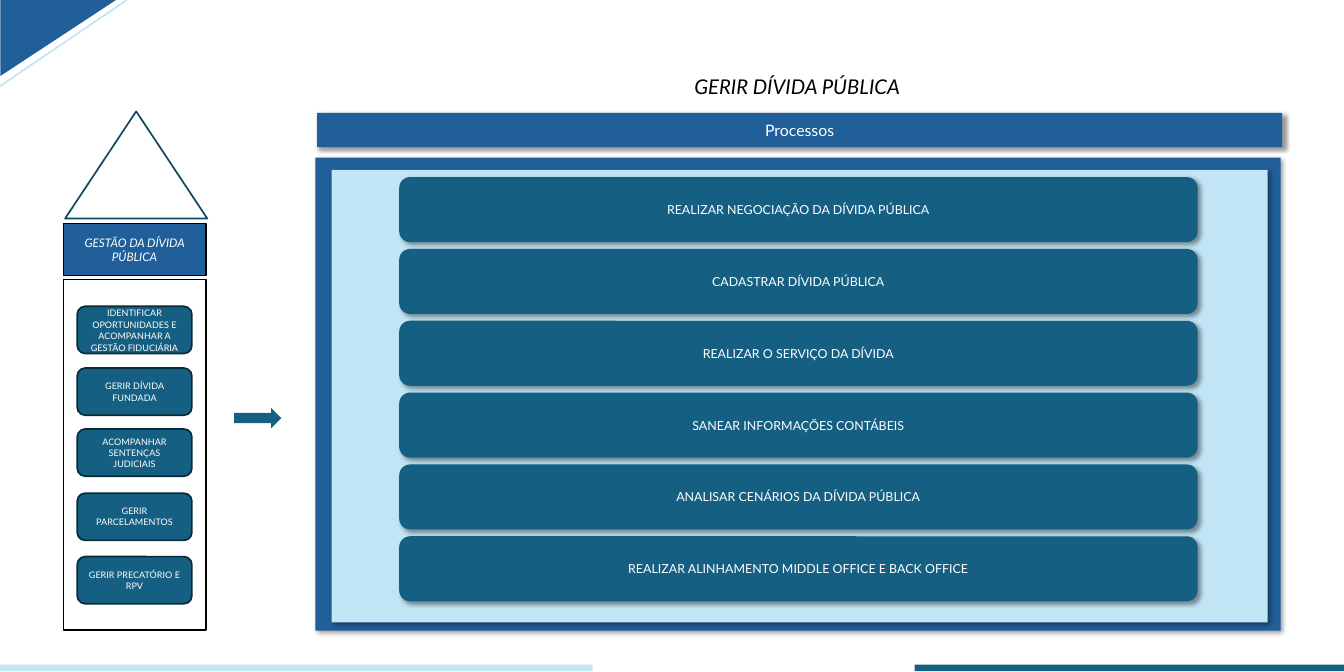
from lxml import etree
from pptx import Presentation
from pptx.dml.color import RGBColor
from pptx.enum.shapes import MSO_CONNECTOR, MSO_SHAPE
from pptx.enum.text import MSO_ANCHOR, PP_ALIGN
from pptx.oxml import parse_xml
from pptx.oxml.ns import nsdecls, qn
from pptx.util import Inches, Pt

RECTANGLE = MSO_SHAPE.RECTANGLE
ROUNDED = MSO_SHAPE.ROUNDED_RECTANGLE
TRIANGLE = MSO_SHAPE.ISOSCELES_TRIANGLE
RIGHT_TRIANGLE = MSO_SHAPE.RIGHT_TRIANGLE
RIGHT_ARROW = MSO_SHAPE.RIGHT_ARROW
STRAIGHT = MSO_CONNECTOR.STRAIGHT
MIDDLE = MSO_ANCHOR.MIDDLE
CENTER = PP_ALIGN.CENTER

WHITE = RGBColor(0xFF, 0xFF, 0xFF)
BLACK = RGBColor(0x00, 0x00, 0x00)
BLUE = RGBColor(0x21, 0x5F, 0x9A)
LIGHT_BLUE = RGBColor(0xC1, 0xE5, 0xF5)
TEAL = RGBColor(0x15, 0x60, 0x82)
DARK_TEAL = RGBColor(0x10, 0x48, 0x62)
BOX_EDGE = RGBColor(0x09, 0x2A, 0x39)

FONT = "Lato"
LINE_WIDTH = Pt(1.5)
LOOSE = 1.06

TITLE = "GERIR DÍVIDA PÚBLICA"
HEADER = "Processos"
PILLAR = "GESTÃO DA DÍVIDA PÚBLICA"
# top, text, line spacing
PILLAR_BOXES = [
    (3.77, "IDENTIFICAR OPORTUNIDADES E ACOMPANHAR A GESTÃO FIDUCIÁRIA", LOOSE),
    (4.53, "GERIR DÍVIDA FUNDADA", LOOSE),
    (5.28, "ACOMPANHAR SENTENÇAS JUDICIAIS", 1),
    (6.07, "GERIR PARCELAMENTOS", 1),
    (6.85, "GERIR PRECATÓRIO E RPV", 1),
]
PROCESSES = [
    "REALIZAR NEGOCIAÇÃO DA DÍVIDA PÚBLICA",
    "CADASTRAR DÍVIDA PÚBLICA",
    "REALIZAR O SERVIÇO DA DÍVIDA",
    "SANEAR INFORMAÇÕES CONTÁBEIS",
    "ANALISAR CENÁRIOS DA DÍVIDA PÚBLICA",
    "REALIZAR ALINHAMENTO MIDDLE OFFICE E BACK OFFICE",
]
FIRST_PROCESS_TOP, LAST_PROCESS_TOP = 2.18, 6.6

presentation = Presentation()
presentation.slide_width = Inches(16.53)
presentation.slide_height = Inches(8.27)
slide = presentation.slides.add_slide(presentation.slide_layouts[6])


def add_shadow(shape):
    """Give the shape a soft shadow falling to the lower right."""
    properties = shape._element.spPr
    properties.remove(properties.find(qn("a:effectLst")))
    properties.append(parse_xml(
        f'<a:effectLst {nsdecls("a")}>'
        f'<a:outerShdw blurRad="{Pt(4)}" dist="{Pt(3)}" dir="2700000" algn="tl" rotWithShape="0">'
        '<a:srgbClr val="000000"><a:alpha val="40000"/></a:srgbClr>'
        '</a:outerShdw></a:effectLst>'))


def add_shape(kind, box, fill, line=None, shadow=False):
    shape = slide.shapes.add_shape(kind, *map(Inches, box))
    shape.shadow.inherit = False
    shape.fill.solid()
    shape.fill.fore_color.rgb = fill
    if line is None:
        shape.line.fill.background()
    else:
        shape.line.color.rgb = line
        shape.line.width = LINE_WIDTH
    if shadow:
        add_shadow(shape)
    return shape


def set_text(shape, text, size, color=WHITE, italic=False, spacing=1):
    text_frame = shape.text_frame
    text_frame.word_wrap = True
    text_frame.vertical_anchor = MIDDLE
    text_frame.text = text
    paragraph = text_frame.paragraphs[0]
    paragraph.alignment = CENTER
    paragraph.line_spacing = spacing
    font = paragraph.runs[0].font
    font.name = FONT
    font.size = Pt(size)
    font.italic = italic
    font.color.rgb = color


# Process panel
add_shape(RECTANGLE, (3.88, 1.94, 11.87, 5.82), BLUE, shadow=True)
add_shape(RECTANGLE, (4.08, 2.09, 11.51, 5.57), LIGHT_BLUE, shadow=True)
header = add_shape(RECTANGLE, (3.9, 1.39, 11.87, 0.42), BLUE, shadow=True)
set_text(header, HEADER, 14)
title = add_shape(RECTANGLE, (3.87, 0.74, 11.87, 0.62), WHITE)
set_text(title, TITLE, 18, BLACK, italic=True, spacing=LOOSE)

# Corner and footer decoration
corner = add_shape(RIGHT_TRIANGLE, (0.25, -0.25, 0.94, 1.43), BLUE)
corner.rotation = 90
corner_line = slide.shapes.add_connector(STRAIGHT, 0, Inches(1.06), Inches(1.56), 0)
corner_line.line.color.rgb = LIGHT_BLUE
corner_line.line.width = LINE_WIDTH
etree.SubElement(corner_line._element.spPr, qn("a:effectLst"))
add_shape(RECTANGLE, (11.25, 8.18, 5.28, 0.08), TEAL)
add_shape(RECTANGLE, (0, 8.18, 7.29, 0.08), LIGHT_BLUE)

# Pillar with its roof, and the arrow to the panel
add_shape(RIGHT_ARROW, (2.88, 5.02, 0.58, 0.25), TEAL)
add_shape(TRIANGLE, (0.8, 1.37, 1.75, 1.32), WHITE, DARK_TEAL)
add_shape(RECTANGLE, (0.78, 3.44, 1.75, 4.31), WHITE, BLACK)
pillar = add_shape(RECTANGLE, (0.78, 2.75, 1.75, 0.64), BLUE, BLACK)
set_text(pillar, PILLAR, 10.5, italic=True)
for top, text, spacing in PILLAR_BOXES:
    pillar_box = add_shape(ROUNDED, (0.95, top, 1.41, 0.58), TEAL, BOX_EDGE)
    set_text(pillar_box, text, 8, spacing=spacing)

# Processes, evenly spaced
pitch = (LAST_PROCESS_TOP - FIRST_PROCESS_TOP) / (len(PROCESSES) - 1)
for index, text in enumerate(PROCESSES):
    top = FIRST_PROCESS_TOP + index * pitch
    process = add_shape(ROUNDED, (4.91, top, 9.82, 0.8), TEAL, shadow=True)
    set_text(process, text, 11)

presentation.save("out.pptx")
